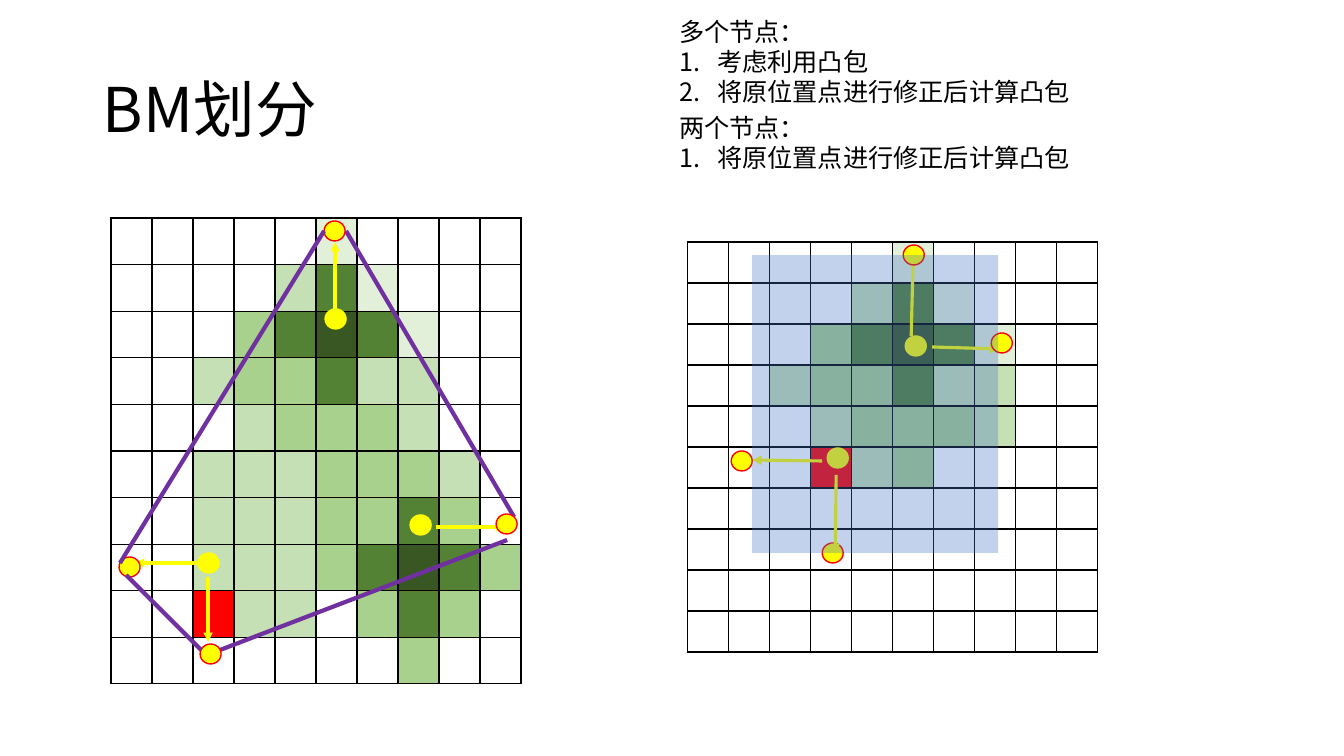
"""Build the BM partition slide: two cell grids with nodes, arrows and hull."""
from lxml.etree import SubElement as sub
from pptx import Presentation as Deck
from pptx.dml.color import RGBColor as Rgb
from pptx.enum.shapes import MSO_CONNECTOR as Link, MSO_SHAPE as Form
from pptx.enum.text import MSO_ANCHOR as Anchor
from pptx.oxml.ns import qn
from pptx.util import Emu, Inches, Pt

HUES = {
    "pale": "E2F0D9", "light": "C5E0B4", "mid": "A9D18E", "deep": "548235",
    "dark": "385723", "red": "FF0000", "yellow": "FFFF00",
    "purple": "7030A0", "blue": "4472C4", "black": "000000",
}
CODES = {"p": "pale", "l": "light", "m": "mid", "d": "deep", "k": "dark", "r": "red"}
FONT = "Noto Sans CJK SC"
SCALE = Inches(1) / 100.8


def px(*nums):
    return [Emu(round(num * SCALE)) for num in nums]


def hue(name):
    return Rgb.from_string(HUES[name])


def write(para, text, size=18, color="black", lead=None, item=False):
    run = para.add_run()
    run.text = text
    font = run.font
    font.size, font.name, font.color.rgb = Pt(size), FONT, hue(color)
    sub(font._element, qn("a:ea"), typeface=FONT)
    para.line_spacing = lead
    if item:
        props = para._p.get_or_add_pPr()
        dent = px(38)[0]
        props.set("marL", str(dent))
        props.set("indent", str(-dent))
        sub(props, qn("a:buFont"), typeface=FONT)
        sub(props, qn("a:buAutoNum"), type="arabicPeriod")


class Board:
    def __init__(self, deck):
        self.items = deck.slides.add_slide(deck.slide_layouts[6]).shapes
        self.node = (21, 20)

    def text(self, box, lines, anchor=Anchor.TOP, **style):
        frame = self.items.add_textbox(*px(*box)).text_frame
        frame.word_wrap = True
        frame.vertical_anchor = anchor
        for num, line in enumerate(lines):
            para = frame.add_paragraph() if num else frame.paragraphs[0]
            write(para, line, item=num > 0, **style)

    def grid(self, box, rows):
        left, top, width, height = px(*box)
        count = len(rows)
        table = self.items.add_table(count, count, left, top, width, height).table
        table.first_row = table.horz_banding = False
        for num, row in enumerate(rows):
            table.rows[num].height = height // count
            table.columns[num].width = width // count
            for col, code in enumerate(row):
                self.cell(table.cell(num, col), CODES.get(code))

    def cell(self, cell, color):
        cell.margin_left = cell.margin_right = 0
        cell.margin_top = cell.margin_bottom = 0
        props = cell._tc.get_or_add_tcPr()
        for side in ("lnL", "lnR", "lnT", "lnB"):
            edge = sub(props, qn("a:" + side), w=str(Pt(1)))
            fill = sub(edge, qn("a:solidFill"))
            sub(fill, qn("a:srgbClr"), val=HUES["black"])
        if color:
            cell.fill.solid()
            cell.fill.fore_color.rgb = hue(color)
        else:
            cell.fill.background()

    def shape(self, form, box, fill, edge=None, alpha=None):
        shape = self.items.add_shape(form, *px(*box))
        shape.shadow.inherit = False
        shape.fill.solid()
        shape.fill.fore_color.rgb = hue(fill)
        if edge:
            shape.line.color.rgb = hue(edge)
            shape.line.width = Pt(1)
        else:
            shape.line.fill.background()
        if alpha:
            tone = shape._element.spPr.find(".//" + qn("a:srgbClr"))
            sub(tone, qn("a:alpha"), val=str(alpha * 1000))

    def nodes(self, spots, edge):
        for spot in spots:
            self.shape(Form.OVAL, spot + self.node, "yellow", edge)

    def lines(self, ends, color, width, head=False):
        for end in ends:
            link = self.items.add_connector(Link.STRAIGHT, *px(*end))
            link.line.color.rgb = hue(color)
            link.line.width = Pt(width)
            if head:
                sub(link.line._get_or_add_ln(), qn("a:tailEnd"), type="triangle")
            sub(link._element.spPr, qn("a:effectLst"))

    def arrows(self, ends):
        self.lines(ends, "yellow", 2.25, head=True)

    def hull(self, ends):
        self.lines(ends, "purple", 3)


deck = Deck()
deck.slide_width, deck.slide_height = Inches(13.33), Inches(7.5)
board = Board(deck)

FIX = "将原位置点进行修正后计算凸包"
board.text((93, 40, 1159, 146), ["BM划分"], Anchor.MIDDLE, size=44, lead=0.9)
board.text((669, 11, 536, 102), ["多个节点：", "考虑利用凸包", FIX], lead=Pt(21.6))
board.text((669, 107, 536, 72), ["两个节点：", FIX], lead=Pt(21.6))

CROWN = [".....p....", "....ldp...", "...mdkdp..", "..lmmdll..", "...lmmml.."]
board.grid((111, 218, 410, 466), CROWN + [
    "..lllmmml.", "..lllmmdm.", "..lllmdkdm", "..rll.mdm.", ".......m..",
])
board.hull([(346, 231, 514, 517), (207, 655, 507, 540)])
board.nodes([(410, 515), (325, 309), (198, 553)], "yellow")
board.arrows([(335, 309, 335, 242), (436, 527, 505, 527),
              (208, 577, 208, 642), (197, 563, 135, 563)])
board.nodes([(324, 221), (496, 514), (200, 644), (119, 557)], "red")
board.hull([(120, 563, 324, 231), (126, 575, 201, 650)])

board.grid((687, 242, 410, 410), CROWN + ["...rlm...."] + ["." * 10] * 4)
board.nodes([(905, 336), (827, 448)], "yellow")
board.arrows([(911, 336, 913, 256), (822, 461, 752, 460), (932, 347, 999, 349)])
board.nodes([(731, 451), (991, 333), (903, 245), (822, 543)], "red")
board.arrows([(836, 475, 835, 553)])
board.shape(Form.RECTANGLE, (752, 255, 246, 298), "blue", alpha=32)

deck.save("out.pptx")
